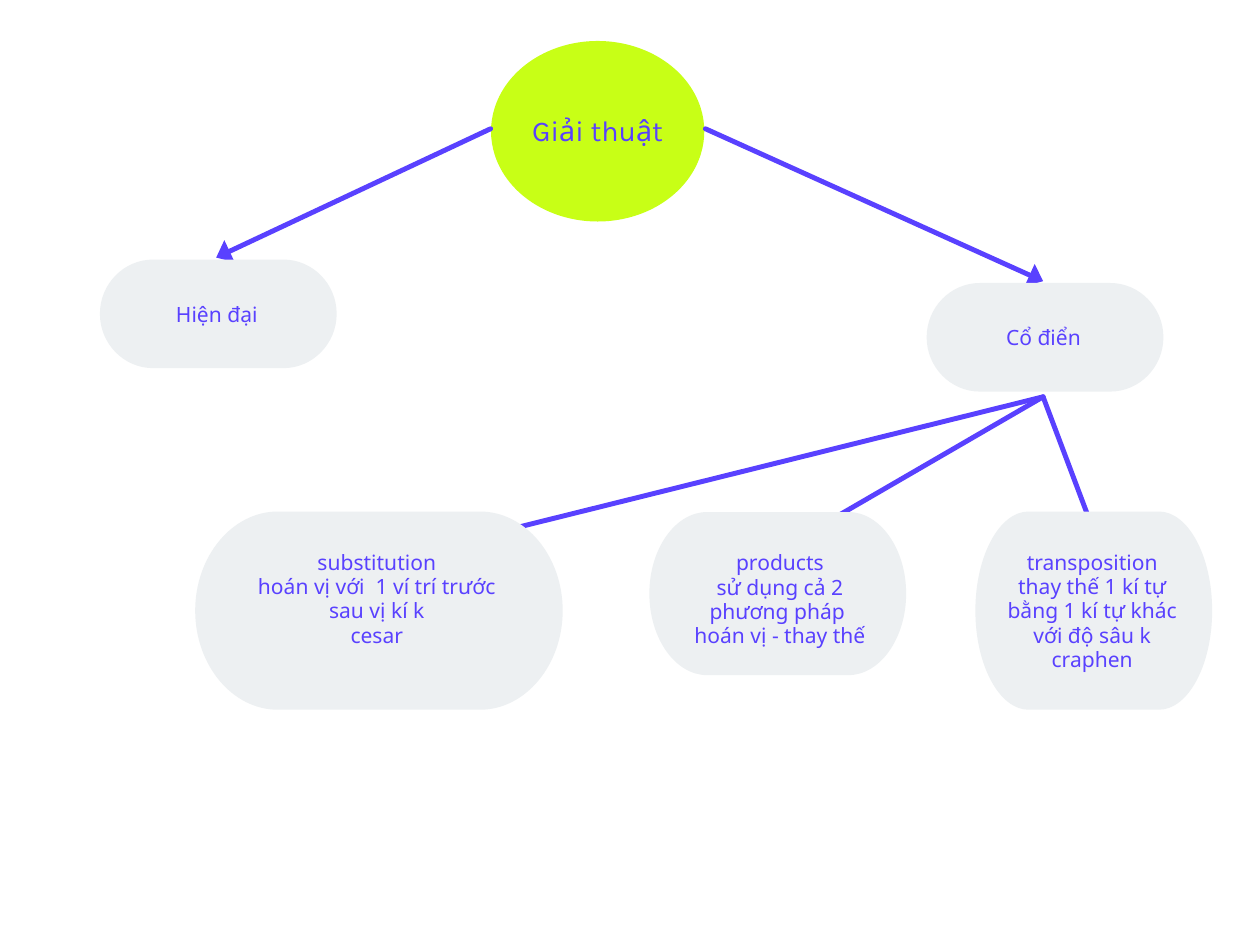
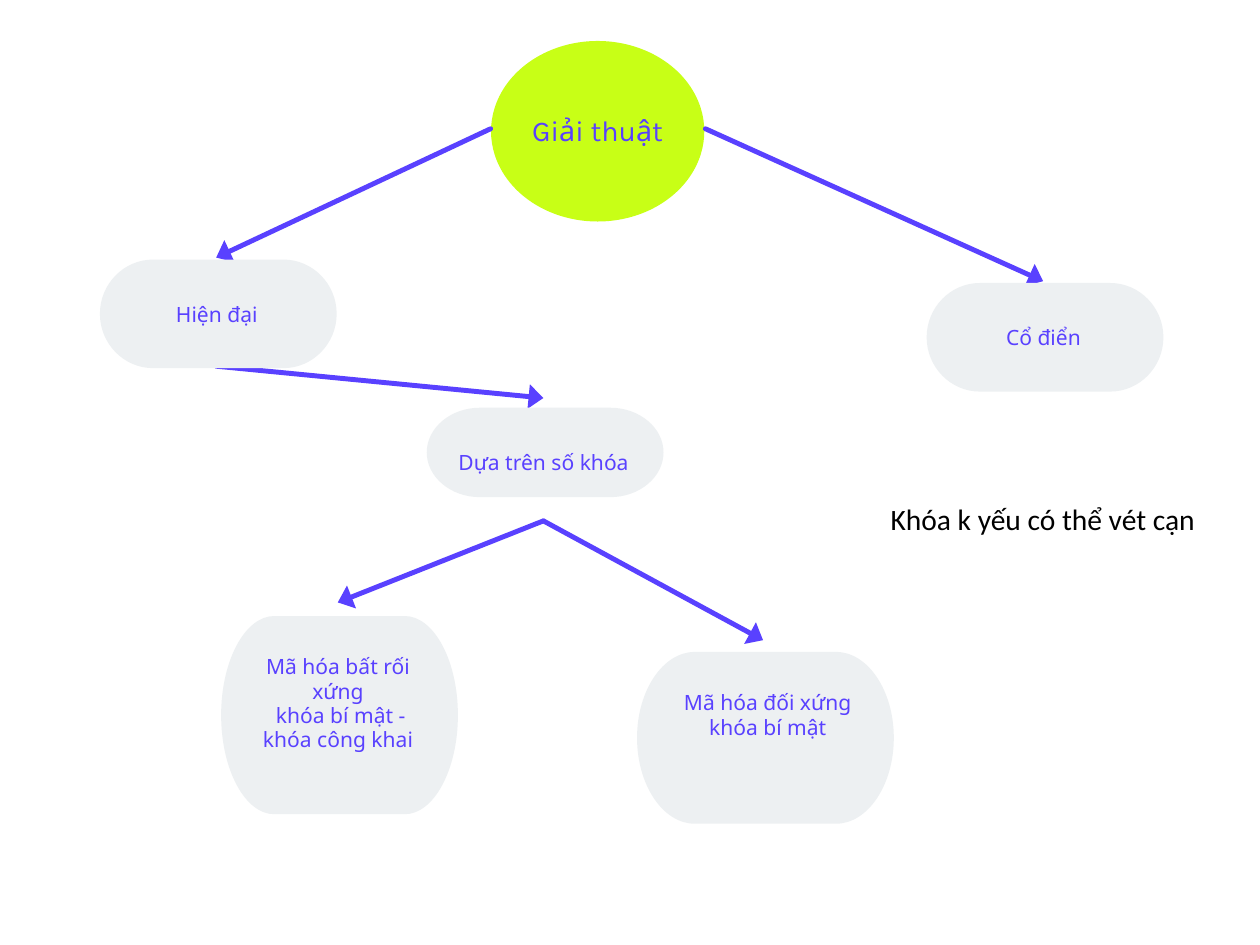
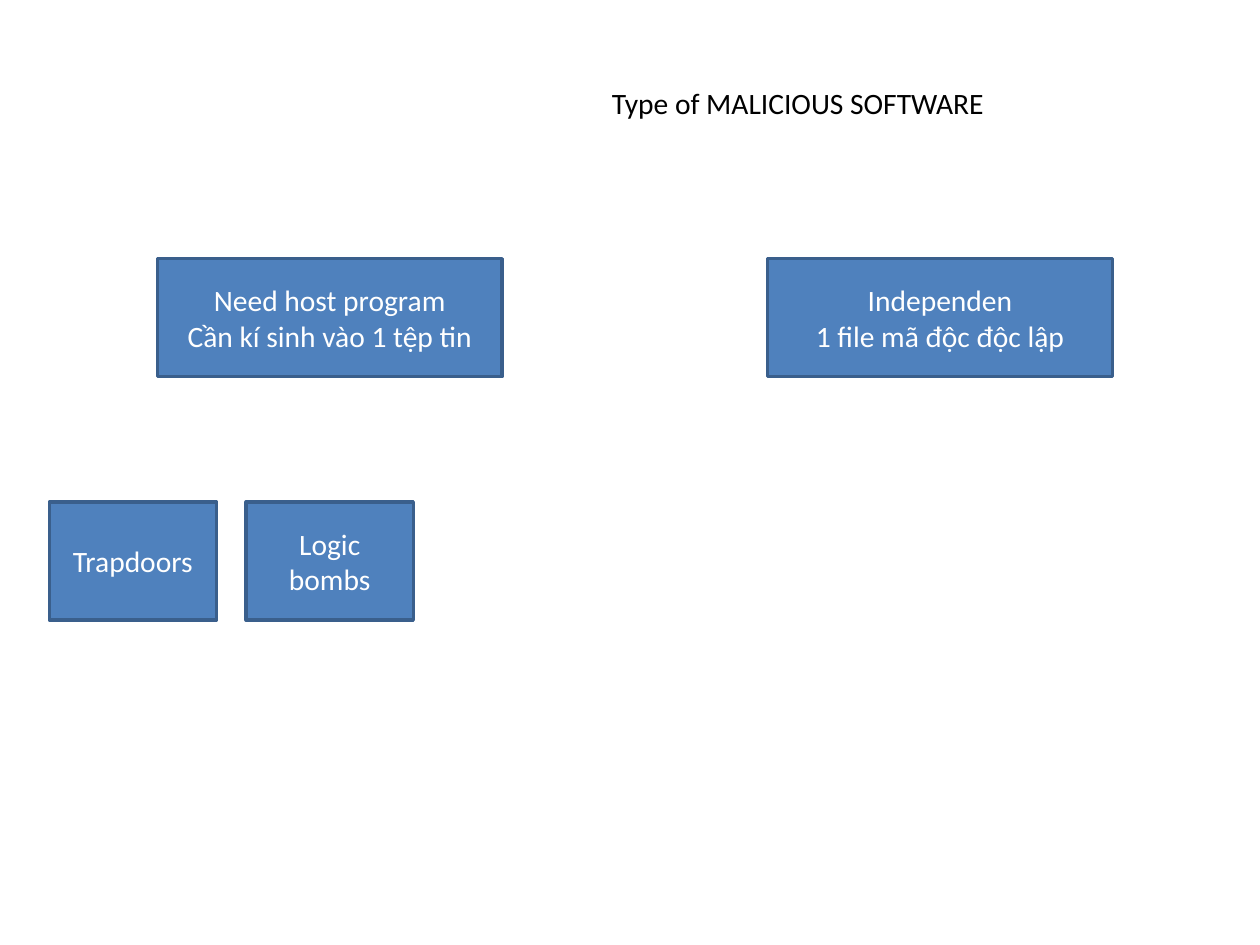
import pptx
import pptx.dml.color
import pptx.enum.shapes
import pptx.enum.text
import pptx.oxml
import pptx.oxml.ns
import pptx.util

Pt = pptx.util.Pt
RGBColor = pptx.dml.color.RGBColor
MSO_SHAPE = pptx.enum.shapes.MSO_SHAPE
MSO_CONNECTOR = pptx.enum.shapes.MSO_CONNECTOR
PP_ALIGN = pptx.enum.text.PP_ALIGN
MSO_ANCHOR = pptx.enum.text.MSO_ANCHOR
MSO_AUTO_SIZE = pptx.enum.text.MSO_AUTO_SIZE

PURPLE = RGBColor(0x59, 0x41, 0xFF)
LIME = RGBColor(0xC8, 0xFF, 0x16)
PALE = RGBColor(0xED, 0xF0, 0xF2)
BLUE = RGBColor(0x4F, 0x81, 0xBD)
DARK_BLUE = RGBColor(0x3A, 0x5F, 0x8C)
WHITE = RGBColor(0xFF, 0xFF, 0xFF)
BLACK = RGBColor(0, 0, 0)

NODE_W = 144.3
NODE_H = 66.2
LABEL_W = 105.2
HANDLE = 0.55  # length of a curve handle, as a share of the radius

# Where arrows leave or reach the nodes
MODERN_TOP = (131.8, 157)
MODERN_BOTTOM = (131.8, 223.2)
CLASSIC_TOP = (635.8, 171.4)
CLASSIC_BOTTOM = (635.8, 241.9)
KEYS_TOP = (331.2, 242.6)
KEYS_BOTTOM = (331.2, 317.5)


def write(tf, text, font="Calibri", size=18, color=BLACK, align=None, line=None):
    """Put each line of text in its own paragraph."""
    for i, words in enumerate(text.split("\n")):
        p = tf.paragraphs[0] if i == 0 else tf.add_paragraph()
        p.alignment = align
        if line:
            p.line_spacing = Pt(line)
        r = p.add_run()
        r.text = words
        r.font.name = font
        r.font.size = Pt(size)
        r.font.color.rgb = color


def add_text(s, text, x, y, w, h, inset=True, wrap=True, **fmt):
    tf = s.shapes.add_textbox(Pt(x), Pt(y), Pt(w), Pt(h)).text_frame
    tf.word_wrap = wrap
    tf.auto_size = MSO_AUTO_SIZE.SHAPE_TO_FIT_TEXT
    if not inset:
        tf.margin_left = tf.margin_right = tf.margin_top = tf.margin_bottom = 0
    write(tf, text, **fmt)


def paint(sp, fill, line=None):
    sp.shadow.inherit = False
    sp.fill.solid()
    sp.fill.fore_color.rgb = fill
    if line:
        sp.line.color.rgb = line
        sp.line.width = Pt(2)
    else:
        sp.line.fill.background()


def element(tag, attrs=""):
    """Make an empty DrawingML element."""
    return pptx.oxml.parse_xml(
        f'<a:{tag} {pptx.oxml.ns.nsdecls("a")} {attrs}/>')


def add_arrow(s, start, end):
    cx = s.shapes.add_connector(MSO_CONNECTOR.STRAIGHT, *map(Pt, start + end))
    cx.line.color.rgb = PURPLE
    cx.line.width = Pt(3)
    ln = cx.line._get_or_add_ln()
    ln.set("cap", "rnd")
    ln.append(element("tailEnd", 'type="triangle" w="lg" len="med"'))
    cx._element.spPr.append(element("effectLst"))


def add_pill(s, x, y, w, h):
    """Draw a flat-topped shape whose two sides are half ellipses."""
    rx, ry = 0.225 * w, h / 2
    right, bottom, mid = x + w, y + h, y + ry
    kx, ky = HANDLE * rx, HANDLE * ry
    x1, x2 = x + rx, right - rx
    points = [
        (right, mid - ky), (x2 + kx, y), (x2, y),
        (x1, y),
        (x1 - kx, y), (x, mid - ky), (x, mid),
        (x, mid + ky), (x1 - kx, bottom), (x1, bottom),
        (x2, bottom),
        (x2 + kx, bottom), (right, mid + ky), (right, mid),
    ]
    fb = s.shapes.build_freeform(Pt(right), Pt(mid))
    fb.add_line_segments([(Pt(px), Pt(py)) for px, py in points], close=True)
    sp = fb.convert_to_shape()
    segments = sp._element.findall(".//" + pptx.oxml.ns.qn("a:lnTo"))
    for first in (0, 4, 7, 11):
        curve = element("cubicBezTo")
        segments[first].addprevious(curve)
        for segment in segments[first:first + 3]:
            curve.append(segment[0])
            segment.getparent().remove(segment)
    paint(sp, PALE)


def add_node(s, text, x, y, w=NODE_W, h=NODE_H, dx=18.6, label_w=LABEL_W):
    """Add a pill with its label, which starts dx from the left edge."""
    add_pill(s, x, y, w, h)
    dy = 23.6 if "\n" in text else 26
    add_text(s, text, x + dx, y + dy, label_w, 14.8, inset=False,
             font="Noto Sans", size=12.8, color=PURPLE,
             align=PP_ALIGN.CENTER, line=14.8)


def add_tree(s, arrows):
    """Add the root, its two branches and the further arrows."""
    root = s.shapes.add_shape(MSO_SHAPE.OVAL, Pt(299.3), Pt(25), Pt(130), Pt(110))
    paint(root, LIME)
    add_text(s, "Giải thuật", 310.3, 69, 108, 21, inset=False, font="Karla",
             size=17.5, color=PURPLE, align=PP_ALIGN.CENTER, line=21)
    branches = [((299, 78.5), MODERN_TOP), ((430, 78.5), CLASSIC_TOP)]
    for start, end in branches + arrows:
        add_arrow(s, start, end)
    add_node(s, "Hiện đại", 60.9, 158.2)
    add_node(s, "Cổ điển", 564.8, 172.5)


def add_box(s, text, x, y, w, h=72):
    sp = s.shapes.add_shape(MSO_SHAPE.RECTANGLE, Pt(x), Pt(y), Pt(w), Pt(h))
    paint(sp, BLUE, DARK_BLUE)
    tf = sp.text_frame
    tf.word_wrap = True
    tf.vertical_anchor = MSO_ANCHOR.MIDDLE
    write(tf, text, color=WHITE, align=PP_ALIGN.CENTER)


def classic_slide(s):
    add_tree(s, [(CLASSIC_BOTTOM, end)
                 for end in ((272.9, 332), (478, 333.4), (670.3, 333.4))])
    add_node(s, "substitution\nhoán vị với  1 ví trí trước sau vị kí k\ncesar",
             119, 311.8, 224, 120.8, dx=29, label_w=163.4)
    add_node(s, "transposition\nthay thế 1 kí tự bằng 1 kí tự khác "
                "với độ sâu k\ncraphen", 594.5, 311.8, h=120.8)
    add_node(s, "products\nsử dụng cả 2 phương pháp  hoán vị - thay thế",
             395.8, 312.1, 156.5, 99.4, dx=27)


def modern_slide(s):
    add_tree(s, [(KEYS_BOTTOM, (205.9, 367.2)), (KEYS_BOTTOM, (465.1, 390.2)),
                 (MODERN_BOTTOM, KEYS_TOP)])
    add_node(s, "Mã hóa bất rối xứng\n khóa bí mật - khóa công khai",
             134.8, 375.5, h=120.8)
    add_node(s, "Dựa trên số khóa", 260.1, 248.5, h=54.5)
    add_node(s, "Mã hóa đối xứng \nkhóa bí mật",
             388.3, 397.4, 156.5, 104.7, dx=27)
    add_text(s, "Khóa k yếu có thể vét cạn", 535.7, 301.7, 202.3, 29, wrap=False)


def malware_slide(s):
    add_text(s, "Type of MALICIOUS SOFTWARE", 365.8, 48.2, 243.4, 29, wrap=False)
    kinds = ("Need host program\nCần kí sinh vào 1 tệp tin",
             "Independen\n1 file mã độc độc lập")
    for i, text in enumerate(kinds):
        add_box(s, text, 96 + 372 * i, 157.7, 210)
    for i, text in enumerate(("Trapdoors", "Logic bombs")):
        add_box(s, text, 30 + 120 * i, 306, 102)


def main():
    prs = pptx.Presentation()
    prs.slide_width, prs.slide_height = Pt(768), Pt(576)
    for build in (classic_slide, modern_slide, malware_slide):
        build(prs.slides.add_slide(prs.slide_layouts[6]))
    prs.save("out.pptx")


if __name__ == "__main__":
    main()
